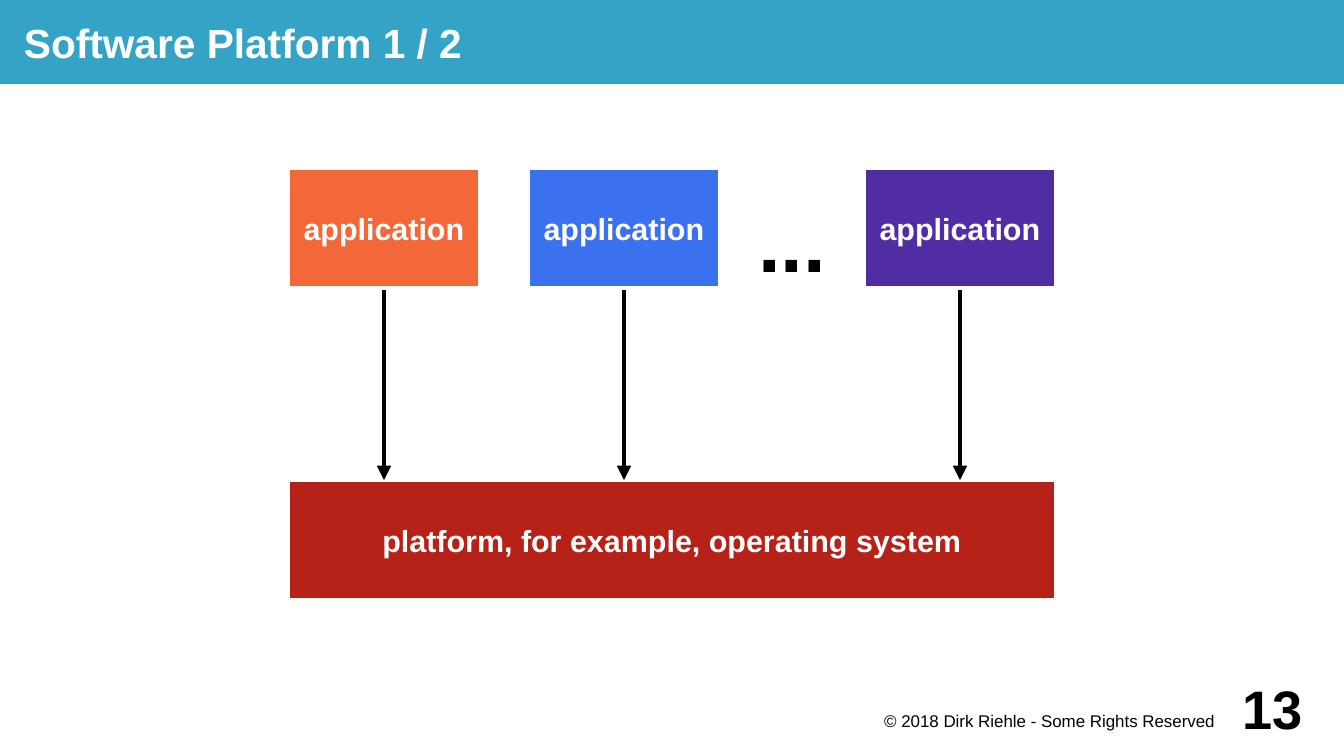
"""Build the slide on software platforms on a grid of one-centimetre units."""
from lxml.etree import SubElement
from pptx import Presentation
from pptx.dml.color import RGBColor
from pptx.enum.shapes import MSO_CONNECTOR, MSO_SHAPE
from pptx.enum.text import MSO_ANCHOR, PP_ALIGN
from pptx.oxml.ns import qn
from pptx.util import Cm, Pt

THEME = {
    "font": "Arial", "ink": "000000", "paper": "FFFFFF",
    "bar": "34A3C5", "base": "B62118",
    "apps": ["F36838", "3B70EE", "502DA2"],
    "title": 24, "label": 18, "dots": 48, "note": 10, "number": 32,
    "stroke": Pt(2.83),
}
WIDE, HIGH = 28, 15.75
LEFT, TOP, FLOOR = 6, 3.5, 10
APP, TALL = 4, 2.5
COLS = [LEFT, 11, 18]
PAD = [0.2] * 4

deck = Presentation()
deck.slide_width, deck.slide_height = Cm(WIDE), Cm(HIGH)
slide = deck.slides.add_slide(deck.slide_layouts[6])
shapes = slide.shapes


def write(shape, text, size, ink="paper", bold=True, align=PP_ALIGN.CENTER,
          pad=PAD, anchor=MSO_ANCHOR.MIDDLE, wrap=True):
    frame = shape.text_frame
    frame.text = text
    frame.word_wrap = wrap
    frame.vertical_anchor = anchor
    (frame.margin_left, frame.margin_top,
     frame.margin_right, frame.margin_bottom) = map(Cm, pad)
    para = frame.paragraphs[0]
    para.alignment = align
    font = para.runs[0].font
    font.name, font.size, font.bold = THEME["font"], Pt(THEME[size]), bold
    font.color.rgb = RGBColor.from_string(THEME[ink])


def block(x, y, w, h, fill, edge=True):
    shape = shapes.add_shape(MSO_SHAPE.RECTANGLE, *map(Cm, (x, y, w, h)))
    shape.shadow.inherit = False
    shape.fill.solid()
    shape.fill.fore_color.rgb = RGBColor.from_string(fill)
    if edge:
        shape.line.color.rgb = RGBColor.from_string(THEME["paper"])
        shape.line.width = THEME["stroke"]
    else:
        shape.line.fill.background()
    return shape


title = block(0, 0, WIDE, 1.75, THEME["bar"], edge=False)
write(title, "Software Platform 1 / 2", "title", align=PP_ALIGN.LEFT,
      pad=[0.5, 0, 0, 0])

dots = shapes.add_textbox(Cm(15), Cm(TOP), Cm(3), Cm(3))
write(dots, "...", "dots", ink="ink")

base = block(LEFT, FLOOR, COLS[-1] + APP - LEFT, TALL, THEME["base"])
write(base, "platform, for example, operating system", "label", wrap=False)

for col in COLS:
    mid = Cm(col + APP / 2)
    arrow = shapes.add_connector(MSO_CONNECTOR.STRAIGHT, mid, Cm(TOP + TALL),
                                 mid, Cm(FLOOR))
    arrow.line.color.rgb = RGBColor.from_string(THEME["ink"])
    arrow.line.width = THEME["stroke"]
    SubElement(arrow.line._get_or_add_ln(), qn("a:tailEnd"), type="triangle")
    SubElement(arrow._element.spPr, qn("a:effectLst"))

for col, fill in zip(COLS, THEME["apps"]):
    write(block(col, TOP, APP, TALL, fill), "application", "label", wrap=False)

note = shapes.add_textbox(Cm(18), Cm(14.75), Cm(7.5), Cm(0.75))
write(note, "© 2018 Dirk Riehle - Some Rights Reserved", "note", ink="ink",
      bold=False, align=PP_ALIGN.RIGHT, pad=[0, 0.05, 0.2, 0],
      anchor=MSO_ANCHOR.TOP)

number = shapes.add_textbox(Cm(25.5), Cm(14), Cm(1.65), Cm(1.5))
write(number, "13", "number", ink="ink", align=PP_ALIGN.RIGHT, pad=[0] * 4)

deck.save("out.pptx")
